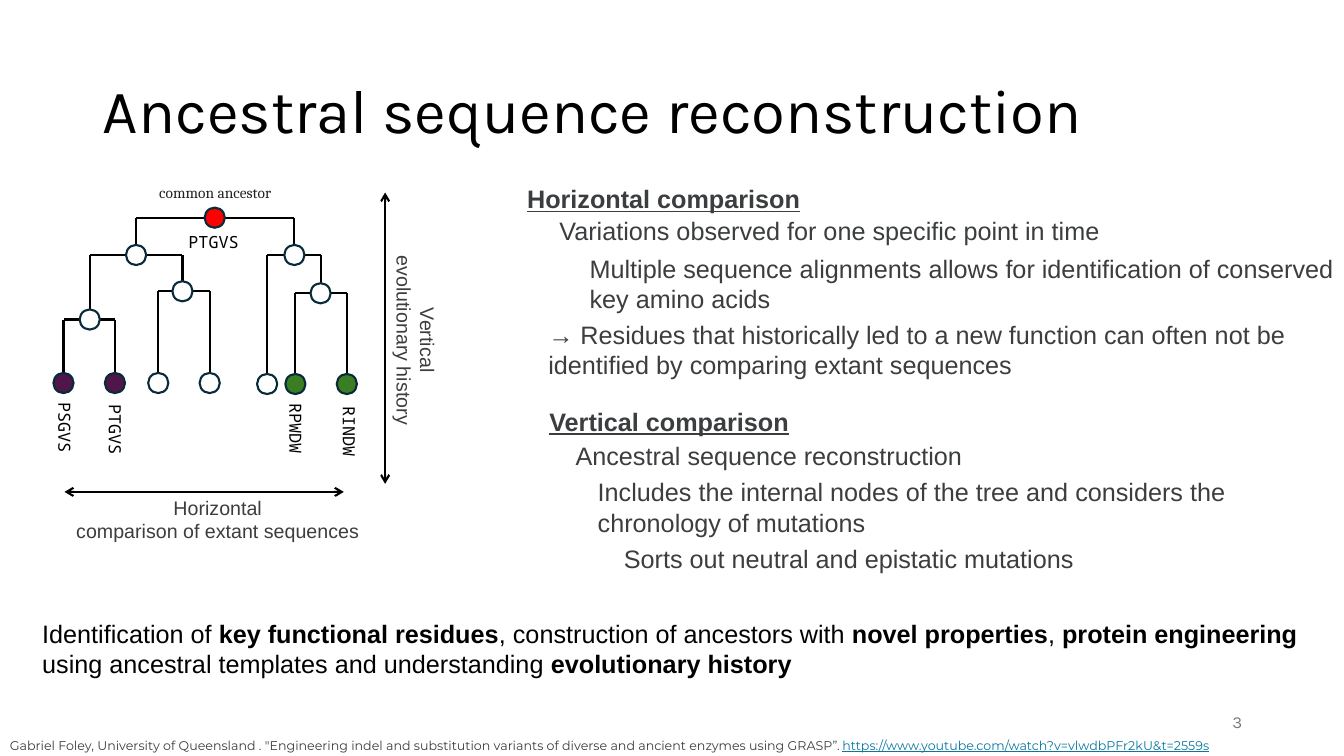
from lxml import etree
from pptx import Presentation
from pptx.dml.color import RGBColor
from pptx.enum import shapes, text
from pptx.oxml import ns
from pptx.util import Inches, Pt

BLACK, GREY, WHITE = "000000", "3B3D3F", "FFFFFF"
OUTLINE, RED, PURPLE, GREEN = "092A39", "FF0000", "501649", "3B7D23"
LINK, NUMBER_GREY, ANCESTOR_GREY = "0B76A0", "797979", "212121"
NODE_SIZE = 0.2
LEFT, CENTER, RIGHT = text.PP_ALIGN.LEFT, text.PP_ALIGN.CENTER, text.PP_ALIGN.RIGHT

TITLE = "Ancestral sequence reconstruction"

# Tree nodes: centre x, centre y, fill
NODES = {
    "root": (2.13, 2.16, RED),
    "left": (1.35, 2.53, WHITE),
    "right": (2.92, 2.53, WHITE),
    "left outer": (0.89, 3.17, WHITE),
    "left inner": (1.81, 2.89, WHITE),
    "right outer": (3.18, 2.91, WHITE),
    "leaf 1": (0.63, 3.8, PURPLE),
    "leaf 2": (1.14, 3.8, PURPLE),
    "leaf 3": (1.57, 3.8, WHITE),
    "leaf 4": (2.08, 3.8, WHITE),
    "leaf 5": (2.65, 3.81, WHITE),
    "leaf 6": (2.93, 3.81, GREEN),
    "leaf 7": (3.44, 3.81, GREEN),
}
CHILDREN = {
    "root": ("left", "right"),
    "left": ("left outer", "left inner"),
    "right": ("leaf 5", "right outer"),
    "left outer": ("leaf 1", "leaf 2"),
    "left inner": ("leaf 3", "leaf 4"),
    "right outer": ("leaf 6", "leaf 7"),
}

# Sequence labels: text, left, top, rotation
SEQUENCES = [
    ("PTGVS", 1.77, 2.25, 0),
    ("PSGVS", 0.29, 4.1, 90),
    ("PTGVS", 0.79, 4.12, 90),
    ("RPWDW", 2.58, 4.11, 90),
    ("RINDW", 3.11, 4.14, 90),
]

# Double-headed axes: start x, start y, end x, end y
AXES = [(0.64, 4.88, 3.41, 4.88), (3.82, 1.91, 3.82, 4.8)]
AXIS_LABELS = [
    (["Horizontal", "comparison of extant sequences"], (-0.22, 4.87, 4.76, 0.57), 0),
    (["Vertical", "evolutionary history"], (1.77, 3.09, 4.71, 0.57), 90),
]

# Comparison text: text, frame, is heading
COMPARISONS = [
    ("Horizontal comparison", (5.13, 1.77, 6.67, 0.4), True),
    ("Variations observed for one specific point in time", (5.45, 2.09, 6.67, 0.4), False),
    ("Multiple sequence alignments allows for identification of conserved key amino acids",
     (5.75, 2.46, 7.6, 0.71), False),
    ("→ Residues that historically led to a new function can often not be identified by "
     "comparing extant sequences", (5.34, 3.12, 7.84, 0.71), False),
    ("Vertical comparison", (5.35, 3.98, 6.67, 0.4), True),
    ("Ancestral sequence reconstruction", (5.61, 4.32, 6.81, 0.4), False),
    ("Includes the internal nodes of the tree and considers the chronology of mutations",
     (5.83, 4.68, 6.81, 0.71), False),
    ("Sorts out neutral and epistatic mutations", (6.09, 5.34, 6.67, 0.4), False),
]

# Conclusion runs: text, is bold
CONCLUSION = [
    ("Identification of ", False),
    ("key functional residues", True),
    (", construction of ancestors with ", False),
    ("novel properties", True),
    (", ", False),
    ("protein engineering ", True),
    ("using ancestral templates and understanding ", False),
    ("evolutionary history", True),
]
CITATION = ("Gabriel Foley, University of Queensland . \"Engineering indel and substitution "
            "variants of diverse and ancient enzymes using GRASP”. ")
CITATION_URL = "https://www.youtube.com/watch?v=vlwdbPFr2kU&t=2559s"


def rgb(value):
    return RGBColor.from_string(value)


def set_font(font, name, size, color):
    font.name, font.size = name, Pt(size)
    font.color.rgb = rgb(color)


def add_text(slide, lines, frame, name="Arial", size=18, color=GREY,
             align=LEFT, rotation=0, wrap=True):
    """Add a text box with one paragraph per line and return its paragraphs."""
    box = slide.shapes.add_textbox(*map(Inches, frame))
    box.rotation = rotation
    text_frame = box.text_frame
    text_frame.word_wrap = wrap
    text_frame.text = "\n".join(lines)
    for paragraph in text_frame.paragraphs:
        paragraph.alignment = align
        set_font(paragraph.font, name, size, color)
    return text_frame.paragraphs


def add_line(slide, x1, y1, x2, y2, arrows=False):
    line = slide.shapes.add_connector(
        shapes.MSO_CONNECTOR.STRAIGHT, *map(Inches, (x1, y1, x2, y2)))
    line.line.color.rgb = rgb(BLACK)
    line.line.width = Pt(1.5)
    properties = line._element.spPr
    if arrows:
        for end in ("a:headEnd", "a:tailEnd"):
            etree.SubElement(line.line._get_or_add_ln(), ns.qn(end), type="arrow")
    etree.SubElement(properties, ns.qn("a:effectLst"))


def add_node(slide, x, y, fill):
    node = slide.shapes.add_shape(
        shapes.MSO_SHAPE.OVAL, Inches(x - NODE_SIZE / 2), Inches(y - NODE_SIZE / 2),
        Inches(NODE_SIZE), Inches(NODE_SIZE))
    node.shadow.inherit = False
    node.fill.solid()
    node.fill.fore_color.rgb = rgb(fill)
    node.line.color.rgb = rgb(OUTLINE)
    node.line.width = Pt(1.5)


def add_title(slide):
    title = slide.shapes.title
    title.left, title.top, title.width, title.height = map(Inches, (0.92, 0.4, 11.5, 1.45))
    title.text_frame.text = TITLE
    title.text_frame.vertical_anchor = text.MSO_ANCHOR.MIDDLE
    paragraph = title.text_frame.paragraphs[0]
    paragraph.alignment = LEFT
    paragraph.line_spacing = 0.9
    set_font(paragraph.font, "Karla", 44, BLACK)


def add_tree(slide):
    for parent, children in CHILDREN.items():
        branch_y = NODES[parent][1]
        ends = [NODES[child][:2] for child in children]
        add_line(slide, ends[0][0], branch_y, ends[1][0], branch_y)
        for x, y in ends:
            add_line(slide, x, branch_y, x, y)
    for node in NODES.values():
        add_node(slide, *node)
    for sequence, left, top, rotation in SEQUENCES:
        add_text(slide, [sequence], (left, top, 0.71, 0.3), "Noto Sans Mono", 12, BLACK,
                 rotation=rotation, wrap=False)
    add_text(slide, ["common ancestor"], (1.48, 1.77, 1.45, 0.29), "Cambria", 11,
             ANCESTOR_GREY)


def main():
    presentation = Presentation()
    presentation.slide_width, presentation.slide_height = Inches(13.33), Inches(7.5)
    slide = presentation.slides.add_slide(presentation.slide_layouts[5])

    add_title(slide)
    for axis in AXES:
        add_line(slide, *axis, arrows=True)
    for lines, frame, rotation in AXIS_LABELS:
        add_text(slide, lines, frame, size=14, align=CENTER, rotation=rotation)
    add_tree(slide)

    for line, frame, is_heading in COMPARISONS:
        paragraph = add_text(slide, [line], frame)[0]
        if is_heading:
            paragraph.font.bold = paragraph.font.underline = True

    conclusion = add_text(slide, [""], (0.32, 6.08, 12.69, 0.71), color=BLACK)[0]
    for words, is_bold in CONCLUSION:
        run = conclusion.add_run()
        run.text, run.font.bold = words, is_bold

    citation = add_text(slide, [CITATION], (0, 7.27, 12.69, 0.25), "Montserrat", 9)[0]
    url = citation.add_run()
    url.text, url.font.underline = CITATION_URL, True
    url.font.color.rgb = rgb(LINK)

    add_text(slide, ["3"], (9.42, 7.01, 3, 0.28), "Karla", 12, NUMBER_GREY, RIGHT)
    presentation.save("out.pptx")


if __name__ == "__main__":
    main()
